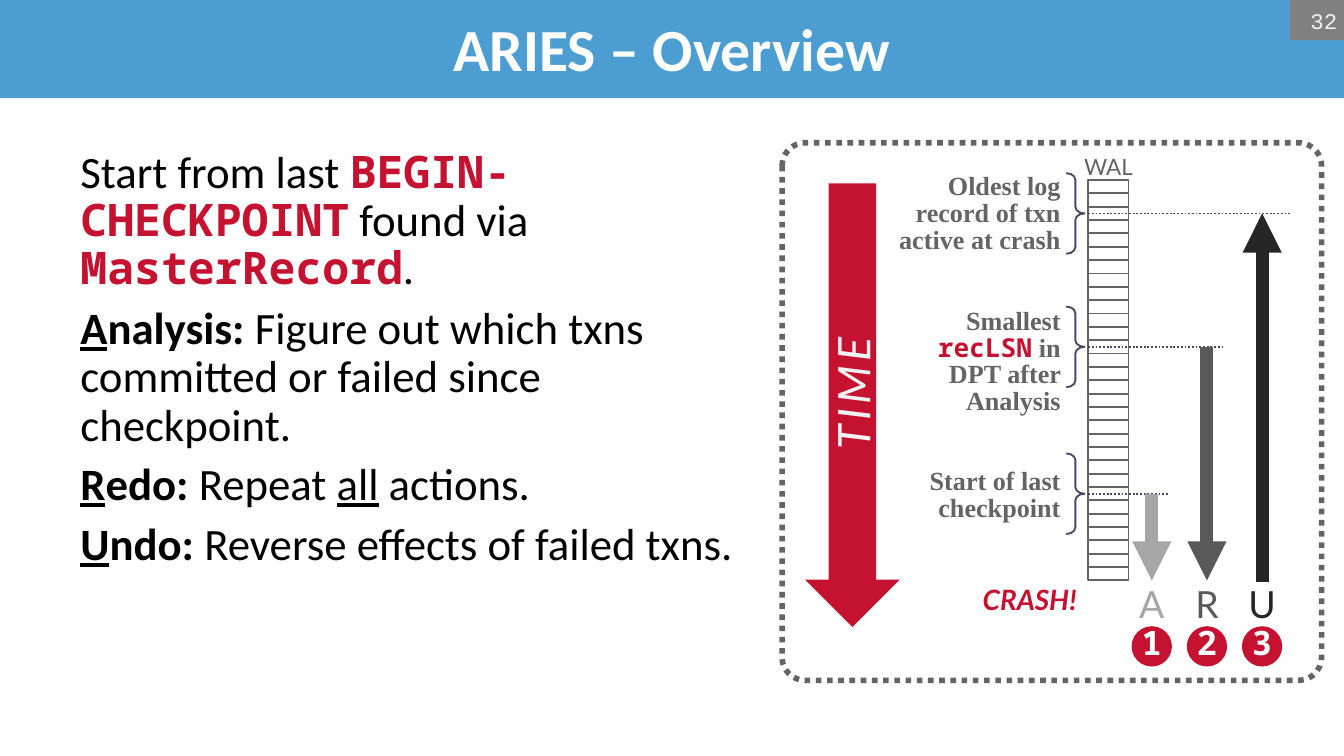
from lxml import etree
from pptx import Presentation
from pptx.dml.color import RGBColor
from pptx.enum.dml import MSO_LINE
from pptx.enum.shapes import MSO_CONNECTOR, MSO_SHAPE
from pptx.enum.text import MSO_ANCHOR, PP_ALIGN
from pptx.oxml.ns import qn
from pptx.util import Pt

LEFT, CENTER, RIGHT = PP_ALIGN.LEFT, PP_ALIGN.CENTER, PP_ALIGN.RIGHT
TOP, MIDDLE = MSO_ANCHOR.TOP, MSO_ANCHOR.MIDDLE
RECTANGLE, OVAL = MSO_SHAPE.RECTANGLE, MSO_SHAPE.OVAL
DOTTED = MSO_LINE.ROUND_DOT
LEFT_SIDE = 1

RED, GRAY, WHITE, PALE, SLATE = "C41230", "646464", "FFFFFF", "F2F2F2", "474866"
BODY, LABEL, SERIF, CODE = "Calibri", "Lato", "Times New Roman", "Noto Sans Mono"

STRONG = {"bold": True}
UNDERLINED = {"underline": True}
INITIAL = {"bold": True, "underline": True}
KEYWORD = {"name": CODE, "color": RED, "bold": True}


def rgb(value):
    return RGBColor.from_string(value)


def set_font(font, color=None, size=None, name=None, bold=None, italic=None,
             underline=None):
    if color:
        font.color.rgb = rgb(color)
    if size:
        font.size = Pt(size)
    if name:
        font.name = name
    font.bold, font.italic, font.underline = bold, italic, underline


class SlideBuilder:
    NARROW = (5, 3, 5, 3)

    def __init__(self, slide):
        self.shapes = slide.shapes

    def fill_text(self, shape, paragraphs, font, align=LEFT, anchor=TOP, margins=NARROW,
                  wrap=True, line_spacing=None, space_before=0, tracking=None):
        """Fill a shape with paragraphs, each a list of (text, font options) runs."""
        frame = shape.text_frame
        frame.word_wrap = wrap
        frame.vertical_anchor = anchor
        (frame.margin_left, frame.margin_top,
         frame.margin_right, frame.margin_bottom) = map(Pt, margins)
        for index, runs in enumerate(paragraphs):
            paragraph = frame.add_paragraph() if index else frame.paragraphs[0]
            paragraph.alignment = align
            if line_spacing:
                paragraph.line_spacing = line_spacing
            if index:
                paragraph.space_before = Pt(space_before)
            set_font(paragraph.font, **font)
            for text, options in runs:
                run = paragraph.add_run()
                run.text = text
                set_font(run.font, **options)
                if tracking:
                    run.font._element.set("spc", str(tracking))

    def text(self, left, top, width, height, paragraphs, font, **layout):
        box = self.shapes.add_textbox(Pt(left), Pt(top), Pt(width), Pt(height))
        self.fill_text(box, paragraphs, font, **layout)

    def shape(self, kind, left, top, width, height, fill=None, line=None,
              weight=1, dash=None, adjustments=()):
        shape = self.shapes.add_shape(kind, Pt(left), Pt(top), Pt(width), Pt(height))
        shape.shadow.inherit = False
        if fill:
            shape.fill.solid()
            shape.fill.fore_color.rgb = rgb(fill)
        else:
            shape.fill.background()
        if line:
            shape.line.color.rgb = rgb(line)
            shape.line.width = Pt(weight)
            shape.line.dash_style = dash
        else:
            shape.line.fill.background()
        for index, value in enumerate(adjustments):
            shape.adjustments[index] = value
        return shape

    def line(self, x1, y1, x2, y2, color, weight=1, dash=None, arrow=False):
        connector = self.shapes.add_connector(
            MSO_CONNECTOR.STRAIGHT, Pt(x1), Pt(y1), Pt(x2), Pt(y2))
        connector.line.color.rgb = rgb(color)
        connector.line.width = Pt(weight)
        connector.line.dash_style = dash
        properties = connector._element.spPr
        if arrow:
            outline = properties.find(qn("a:ln"))
            etree.SubElement(outline, qn("a:tailEnd"), type="triangle")
        etree.SubElement(properties, qn("a:effectLst"))
        return connector


def main():
    presentation = Presentation()
    presentation.slide_width, presentation.slide_height = Pt(720), Pt(405)
    slide = presentation.slides.add_slide(presentation.slide_layouts[6])
    builder = SlideBuilder(slide)

    title = builder.shape(RECTANGLE, 0, -1.4, 720, 54, "4C9DD2")
    builder.fill_text(title, [[("ARIES – Overview", {})]],
                      {"name": BODY, "size": 32, "color": WHITE, "bold": True},
                      align=CENTER, anchor=MIDDLE)

    builder.text(36, 76.5, 374.4, 288, [
        [("Start from last ", {}), ("BEGIN-CHECKPOINT", KEYWORD), (" found via ", {}),
         ("MasterRecord", KEYWORD), (".", {})],
        [("A", INITIAL), ("nalysis:", STRONG),
         (" Figure out which txns committed or failed since checkpoint.", {})],
        [("R", INITIAL), ("edo:", STRONG), (" Repeat ", {}), ("all", UNDERLINED),
         (" actions.", {})],
        [("U", INITIAL), ("ndo:", STRONG), (" Reverse effects of failed txns.", {})],
    ], {"name": BODY, "size": 24, "color": "000000"},
        margins=(7.2, 3.6, 7.2, 3.6), line_spacing=0.9, space_before=6)

    builder.shape(MSO_SHAPE.ROUNDED_RECTANGLE, 419, 76.5, 289, 288,
                  line=GRAY, weight=3, dash=DOTTED, adjustments=[0.043])

    time_arrow = builder.shape(MSO_SHAPE.LEFT_ARROW, 337.9, 191.7, 237.6, 50.8, RED)
    time_arrow.rotation = 270
    builder.fill_text(time_arrow, [[("TIME", {})]],
                      {"name": LABEL, "size": 24, "color": PALE, "italic": True},
                      align=CENTER, anchor=MIDDLE, wrap=False, tracking=220)

    log_left, log_top, log_width, record_height = 583, 96.5, 21.6, 7.15
    records = [builder.shape(RECTANGLE, log_left, log_top + index * record_height,
                             log_width, record_height, WHITE, GRAY)
               for index in range(30)]
    log_bottom = log_top + len(records) * record_height
    builder.text(580.3, 82.1, 27, 14.4, [[("WAL", {})]],
                 {"name": LABEL, "size": 12, "color": GRAY},
                 align=CENTER, margins=(0, 0, 0, 0), wrap=False)
    builder.text(495.4, 311.8, 86.4, 21, [[("CRASH!", {})]],
                 {"name": LABEL, "size": 15, "color": RED, "bold": True, "italic": True},
                 align=RIGHT, line_spacing=0.85)

    # Record index, dotted line end, label rise above the line, label runs
    callouts = [
        (2, 691, 23.8, [("Oldest log record of txn active at crash", {})]),
        (12, 655, 23.2, [("Smallest ", {}), ("recLSN", KEYWORD),
                         (" in DPT after Analysis", {})]),
        (23, 626.4, 16, [("Start of last checkpoint", {})]),
    ]
    levels = []
    for index, line_end, rise, runs in callouts:
        level = log_top + (index + 0.5) * record_height
        levels.append(level)
        marker = builder.line(log_left, level, line_end, level, SLATE, dash=DOTTED)
        marker.begin_connect(records[index], LEFT_SIDE)
        builder.text(467.6, level - rise, 105.6, 2 * rise, [runs],
                     {"name": SERIF, "size": 14, "color": GRAY, "bold": True},
                     align=RIGHT, line_spacing=0.85)
        builder.shape(MSO_SHAPE.RIGHT_BRACE, 571.2, level - 21.6, 9.8, 43.2,
                      line=SLATE, adjustments=[0.36, 0.5])

    oldest, smallest, checkpoint = levels
    phases = [
        ("A", "A6A6A6", checkpoint, log_bottom),
        ("R", "595959", smallest, log_bottom),
        ("U", "262626", log_bottom + 1, oldest),
    ]
    for number, (letter, color, start, end) in enumerate(phases, 1):
        x = 587.5 + 29.55 * number
        builder.line(x, start, x, end, color, weight=7, arrow=True)
        builder.text(x - 13, 308.2, 26, 29.5, [[(letter, {})]],
                     {"name": LABEL, "size": 20, "color": color},
                     align=CENTER, wrap=False)
        badge = builder.shape(OVAL, x - 10.8, 335.5, 21.6, 21.6, RED)
        builder.fill_text(badge, [[(str(number), {})]],
                          {"name": CODE, "size": 18, "color": WHITE, "bold": True},
                          align=CENTER, anchor=MIDDLE, margins=(0, 0, 0, 4.3))

    page_number = builder.shape(RECTANGLE, 691.2, 0, 28.8, 21.6, "808080")
    builder.fill_text(page_number, [[("32", {})]],
                      {"name": "Courier New", "size": 12, "color": PALE},
                      align=RIGHT, anchor=MIDDLE, margins=(0, 3.6, 3.6, 3.6))

    presentation.save("out.pptx")


if __name__ == "__main__":
    main()
